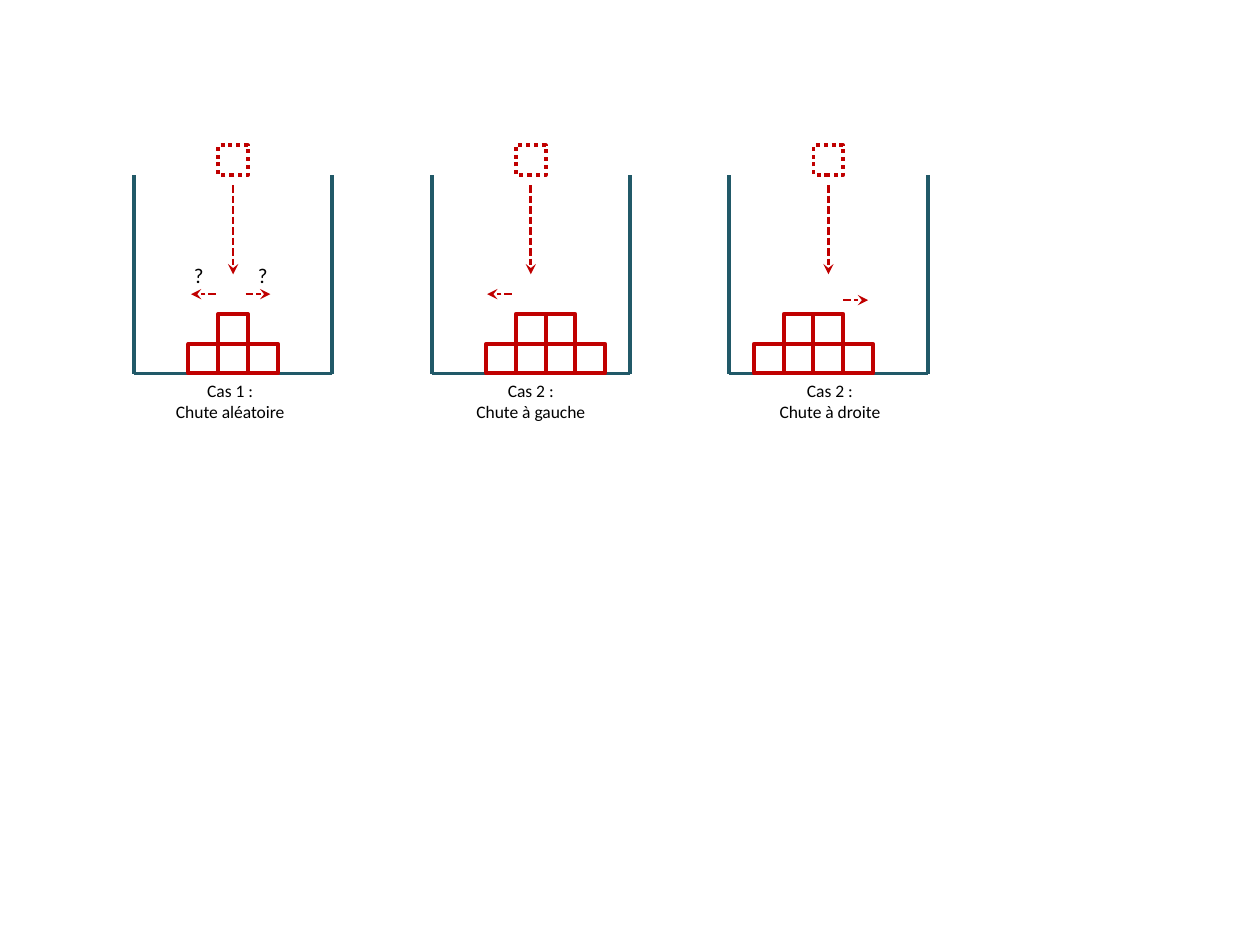
from pptx import Presentation
from pptx.dml.color import RGBColor
from pptx.enum.dml import MSO_LINE
from pptx.enum.shapes import MSO_CONNECTOR, MSO_SHAPE
from pptx.enum.text import PP_ALIGN
from pptx.oxml.ns import qn
from pptx.util import Cm, Inches, Pt
from lxml.etree import SubElement

TEAL = RGBColor(0x21, 0x59, 0x68)
RED = RGBColor(0xC0, 0x00, 0x00)
BLACK = RGBColor(0x00, 0x00, 0x00)

# Grid in steps of 2 mm
STEP = Cm(0.2)
BLOCK = 3
PIT = 20
PITCH = 30
LEFT, TOP = 13.5, 17.65

# Rows of block columns from the floor up (0 is under the falling block),
# side arrows as (start x, length, y), caption shift, caption lines
CASES = [
    ([(-1, 0, 1), (0,)], [(1.25, 2.5, 12), (-1.75, -2.5, 12)], -0.3,
     ["Cas 1 :", "Chute aléatoire"]),
    ([(-1, 0, 1, 2), (0, 1)], [(-1.9, -2.5, 12)], 0,
     ["Cas 2 :", "Chute à gauche"]),
    ([(-2, -1, 0, 1), (-1, 0)], [(1.5, 2.5, 12.6)], 0.15,
     ["Cas 2 :", "Chute à droite"]),
]


def grid(*vals):
    return [round(val * STEP) for val in vals]


def add_line(slide, ends, color, width):
    line = slide.shapes.add_connector(MSO_CONNECTOR.STRAIGHT, *grid(*ends))
    line.line.color.rgb = color
    line.line.width = Pt(width)
    SubElement(line._element.spPr, qn("a:effectLst"))
    return line


def add_arrow(slide, *ends):
    arrow = add_line(slide, ends, RED, 1.5)
    arrow.line.dash_style = MSO_LINE.SQUARE_DOT
    ln = arrow.line._get_or_add_ln()
    SubElement(ln, qn("a:tailEnd"), type="stealth")


def add_block(slide, x, y, dash=None):
    block = slide.shapes.add_shape(
        MSO_SHAPE.RECTANGLE, *grid(x, y, BLOCK, BLOCK))
    block.shadow.inherit = False
    block.fill.background()
    block.line.color.rgb = RED
    block.line.width = Pt(2.25)
    if dash:
        block.line.dash_style = dash


def add_text(slide, box, lines, size, align):
    frame = slide.shapes.add_textbox(*grid(*box)).text_frame
    frame.word_wrap = True
    frame.text = "\n".join(lines)
    for para in frame.paragraphs:
        para.alignment = align
        para.font.size = Pt(size)
        para.font.name = "Calibri"
        para.font.color.rgb = BLACK


def add_pit(slide, left, top, size):
    right, floor = left + size, top + size
    for ends in [(left, top, left, floor), (right, floor, left, floor),
                 (right, floor, right, top)]:
        add_line(slide, ends, TEAL, 2.25)


def add_case(slide, left, top, size, case):
    rows, sides, shift, lines = case
    mid, floor = left + size / 2, top + size
    add_pit(slide, left, top, size)

    # Falling block and its path
    edge = mid - BLOCK / 2
    add_block(slide, edge, top - BLOCK, MSO_LINE.ROUND_DOT)
    add_arrow(slide, mid, top + 1, mid, top + 10)

    # Pile of blocks
    for level, cols in enumerate(rows, 1):
        for col in cols:
            add_block(slide, edge + col * BLOCK, floor - level * BLOCK)

    # Ways to slide off
    for x, run, y in sides:
        add_arrow(slide, mid + x, top + y, mid + x + run, top + y)

    add_text(slide, (left + shift, floor, size, 5.6), lines, 10,
             PP_ALIGN.CENTER)


def add_doubt(slide, mid, top):
    for x in (-5.2, 1.25):
        add_text(slide, (mid + x, top + 8.15, 3.6, 3.8), ["?"], 12,
                 PP_ALIGN.LEFT)


def main():
    deck = Presentation()
    deck.slide_width, deck.slide_height = Inches(10), Inches(7.5)
    slide = deck.slides.add_slide(deck.slide_layouts[6])
    for num, case in enumerate(CASES):
        add_case(slide, LEFT + num * PITCH, TOP, PIT, case)
    add_doubt(slide, LEFT + PIT / 2, TOP)
    deck.save("out.pptx")


if __name__ == "__main__":
    main()
